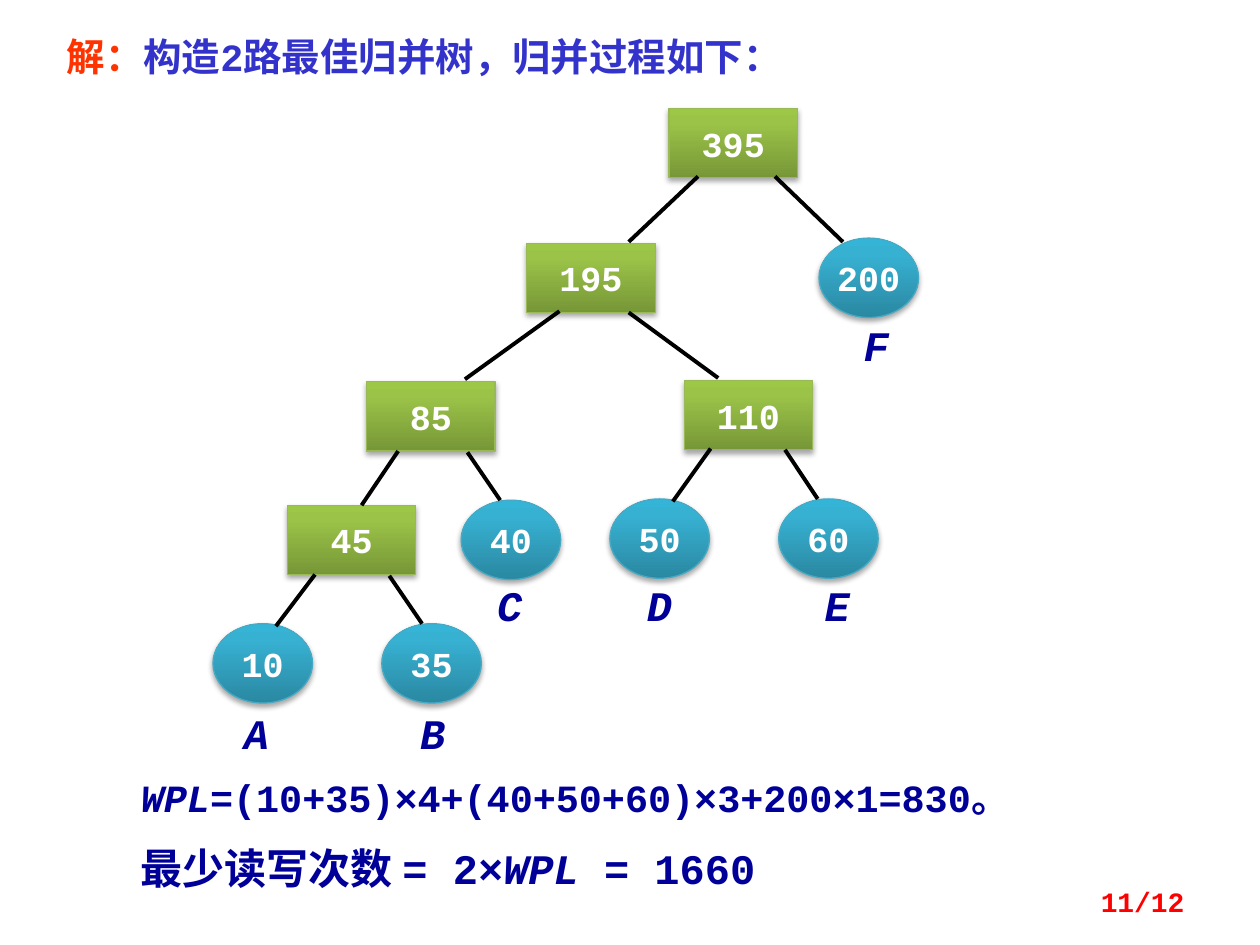
from lxml import etree
from pptx import Presentation
from pptx.dml.color import RGBColor
from pptx.enum.shapes import MSO_CONNECTOR, MSO_SHAPE
from pptx.enum.text import MSO_ANCHOR, MSO_AUTO_SIZE, PP_ALIGN
from pptx.oxml import parse_xml
from pptx.oxml.ns import nsdecls, qn
from pptx.util import Inches, Pt

RECT, OVAL = MSO_SHAPE.RECTANGLE, MSO_SHAPE.OVAL
STRAIGHT = MSO_CONNECTOR.STRAIGHT
TOP, MIDDLE = MSO_ANCHOR.TOP, MSO_ANCHOR.MIDDLE
LEFT, CENTER, RIGHT = PP_ALIGN.LEFT, PP_ALIGN.CENTER, PP_ALIGN.RIGHT

ORANGE = RGBColor(0xFF, 0x33, 0x00)
BLUE = RGBColor(0x33, 0x33, 0xCC)
NAVY = RGBColor(0x00, 0x00, 0x99)
RED = RGBColor(0xFF, 0x00, 0x00)
WHITE = RGBColor(0xFF, 0xFF, 0xFF)
BLACK = RGBColor(0x00, 0x00, 0x00)
GREEN_LINE = RGBColor(0x98, 0xB9, 0x55)
TEAL_LINE = RGBColor(0x46, 0xAA, 0xC5)
GREEN_STOPS = [(0, "779737"), (80, "9BC348"), (100, "9DC746")]
TEAL_STOPS = [(0, "2A88A2"), (80, "37B1D2"), (100, "34B4D6")]

# kind: preset, width, height, gradient stops, outline
NODE_KINDS = {
    "merge": (RECT, 1.02, 0.55, GREEN_STOPS, GREEN_LINE),
    "leaf": (OVAL, 0.79, 0.63, TEAL_STOPS, TEAL_LINE),
}
NODES = [
    ("merge", "395", 5.31, 0.86), ("merge", "195", 4.18, 1.93),
    ("merge", "85", 2.91, 3.03), ("merge", "110", 5.43, 3.02),
    ("merge", "45", 2.28, 4.01), ("leaf", "200", 6.5, 1.89),
    ("leaf", "40", 3.66, 3.97), ("leaf", "50", 4.84, 3.96),
    ("leaf", "60", 6.18, 3.96), ("leaf", "10", 1.69, 4.95),
    ("leaf", "35", 3.03, 4.95),
]
EDGES = [
    (5.54, 1.4, 4.99, 1.92), (6.15, 1.4, 6.69, 1.92),
    (4.44, 2.47, 3.69, 3.01), (4.99, 2.48, 5.7, 3),
    (3.16, 3.58, 2.87, 4.01), (3.71, 3.59, 3.97, 3.97),
    (5.64, 3.56, 5.34, 3.98), (6.23, 3.57, 6.49, 3.96),
    (2.5, 4.56, 2.19, 4.97), (3.09, 4.57, 3.35, 4.95),
]
LABELS = [("A", 1.8, 5.57), ("B", 3.2, 5.57), ("C", 3.81, 4.55),
          ("D", 5, 4.55), ("E", 6.41, 4.55), ("F", 6.72, 2.49)]


class SlideBuilder:
    font = {"name": "Courier New", "bold": True}

    def __init__(self, slide):
        self.s = slide

    def set_text(self, shape, runs, size, align=LEFT, anchor=TOP, wrap=True):
        """Fill a shape with one paragraph of (text, colour, italic) runs."""
        tf = shape.text_frame
        frame = {"auto_size": MSO_AUTO_SIZE.NONE, "word_wrap": wrap,
                 "vertical_anchor": anchor}
        for key, value in frame.items():
            setattr(tf, key, value)
        p = tf.paragraphs[0]
        p.alignment = align
        for text, color, italic in runs:
            r = p.add_run()
            r.text = text
            for key, value in {**self.font, "size": Pt(size), "italic": italic}.items():
                setattr(r.font, key, value)
            r.font.color.rgb = color

    def title(self, box, runs, size):
        shape = self.s.shapes.title
        for key, value in zip(("left", "top", "width", "height"), box):
            setattr(shape, key, Inches(value))
        self.set_text(shape, runs, size)

    def text(self, box, runs, size, **layout):
        shape = self.s.shapes.add_textbox(*map(Inches, box))
        self.set_text(shape, runs, size, **layout)

    def node(self, kind, value, x, y):
        preset, width, height, stops, outline = NODE_KINDS[kind]
        shape = self.s.shapes.add_shape(preset, *map(Inches, (x, y, width, height)))
        shape.line.color.rgb = outline
        shape.line.width = Pt(0.75)
        self.gradient(shape, stops)
        self.soft_shadow(shape)
        self.set_text(shape, [(value, WHITE, False)], 20, CENTER, MIDDLE, wrap=False)

    def gradient(self, shape, stops):
        """Three stops running from bottom to top."""
        gs = "".join(f'<a:gs pos="{pos * 1000}"><a:srgbClr val="{color}"/></a:gs>'
                     for pos, color in stops)
        fill = parse_xml(f'<a:gradFill {nsdecls("a")} rotWithShape="1"><a:gsLst>{gs}'
                         '</a:gsLst><a:lin ang="16200000" scaled="0"/></a:gradFill>')
        shape._element.spPr.find(qn("a:prstGeom")).addnext(fill)

    def soft_shadow(self, shape):
        shape.shadow.inherit = False
        effects = shape._element.spPr.find(qn("a:effectLst"))
        effects.append(parse_xml(
            f'<a:outerShdw {nsdecls("a")} blurRad="40000" dist="23000" dir="5400000" '
            'rotWithShape="0"><a:srgbClr val="000000"><a:alpha val="35000"/>'
            '</a:srgbClr></a:outerShdw>'))

    def edge(self, *ends):
        line = self.s.shapes.add_connector(STRAIGHT, *map(Inches, ends))
        line.line.color.rgb = BLACK
        line.line.width = Pt(2.25)
        etree.SubElement(line._element.spPr, qn("a:effectLst"))


def main():
    prs = Presentation()
    prs.slide_width, prs.slide_height = Inches(10), Inches(7.5)
    b = SlideBuilder(prs.slides.add_slide(prs.slide_layouts[5]))

    b.title((0.43, 0.21, 6.83, 0.47),
            [("解：", ORANGE, False),
             ("构造2路最佳归并树，归并过程如下：", BLUE, False)], 22)
    for node in NODES:
        b.node(*node)
    for edge in EDGES:
        b.edge(*edge)
    for letter, x, y in LABELS:
        b.text((x, y, 0.47, 0.5), [(letter, NAVY, True)], 24, align=CENTER)

    b.text((1.02, 6.09, 7.27, 0.47),
           [("WPL", NAVY, True),
            ("=(10+35)×4+(40+50+60)×3+200×1=830。", NAVY, False)], 22)
    b.text((1.02, 6.64, 6.95, 0.5),
           [("最少读写次数 = 2×", NAVY, False), ("WPL ", NAVY, True),
            ("= 1660", NAVY, False)], 24)
    b.text((7.17, 6.95, 2.33, 0.4), [("11/12", RED, False)], 16,
           align=RIGHT, anchor=MIDDLE)
    prs.save("out.pptx")


if __name__ == "__main__":
    main()
